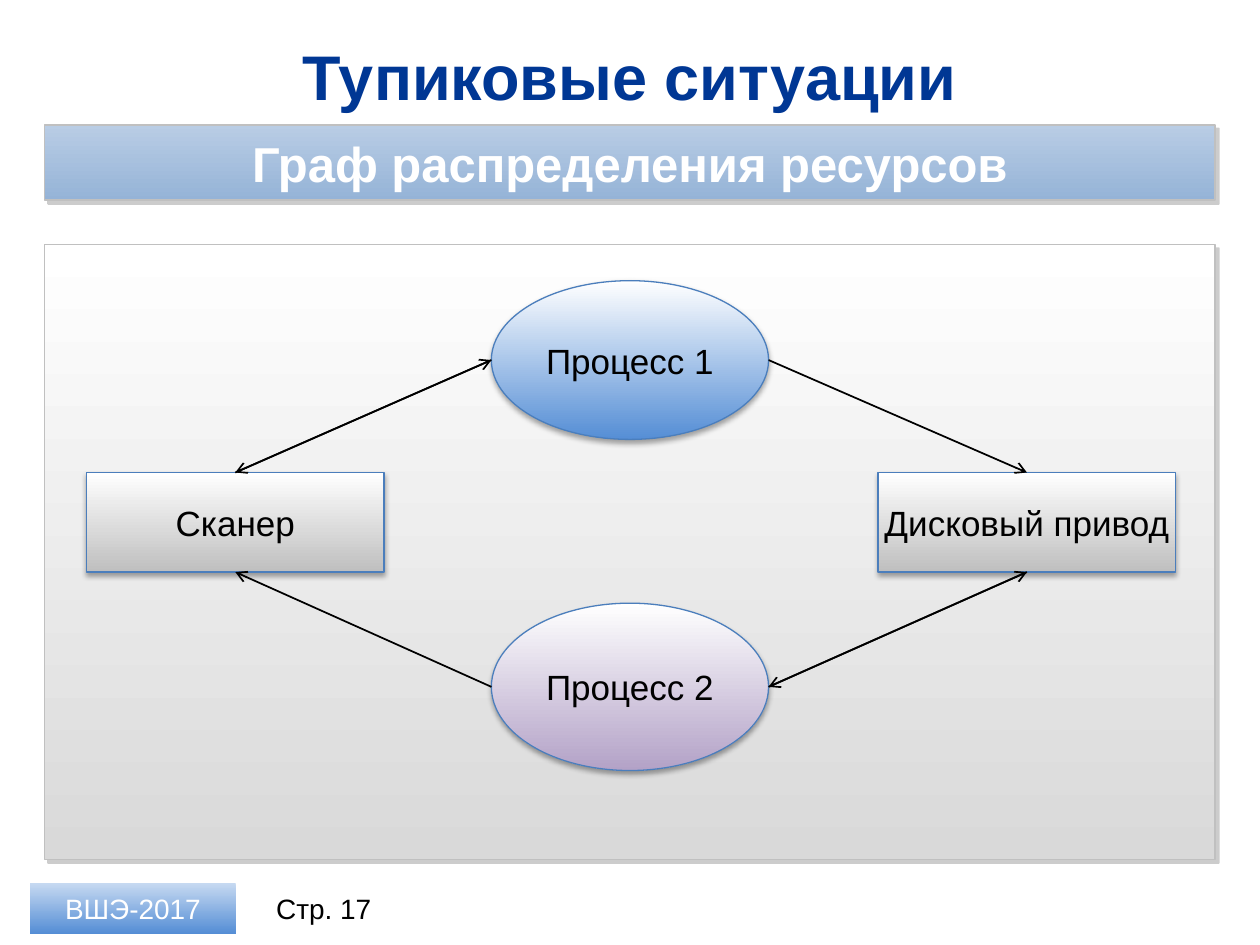
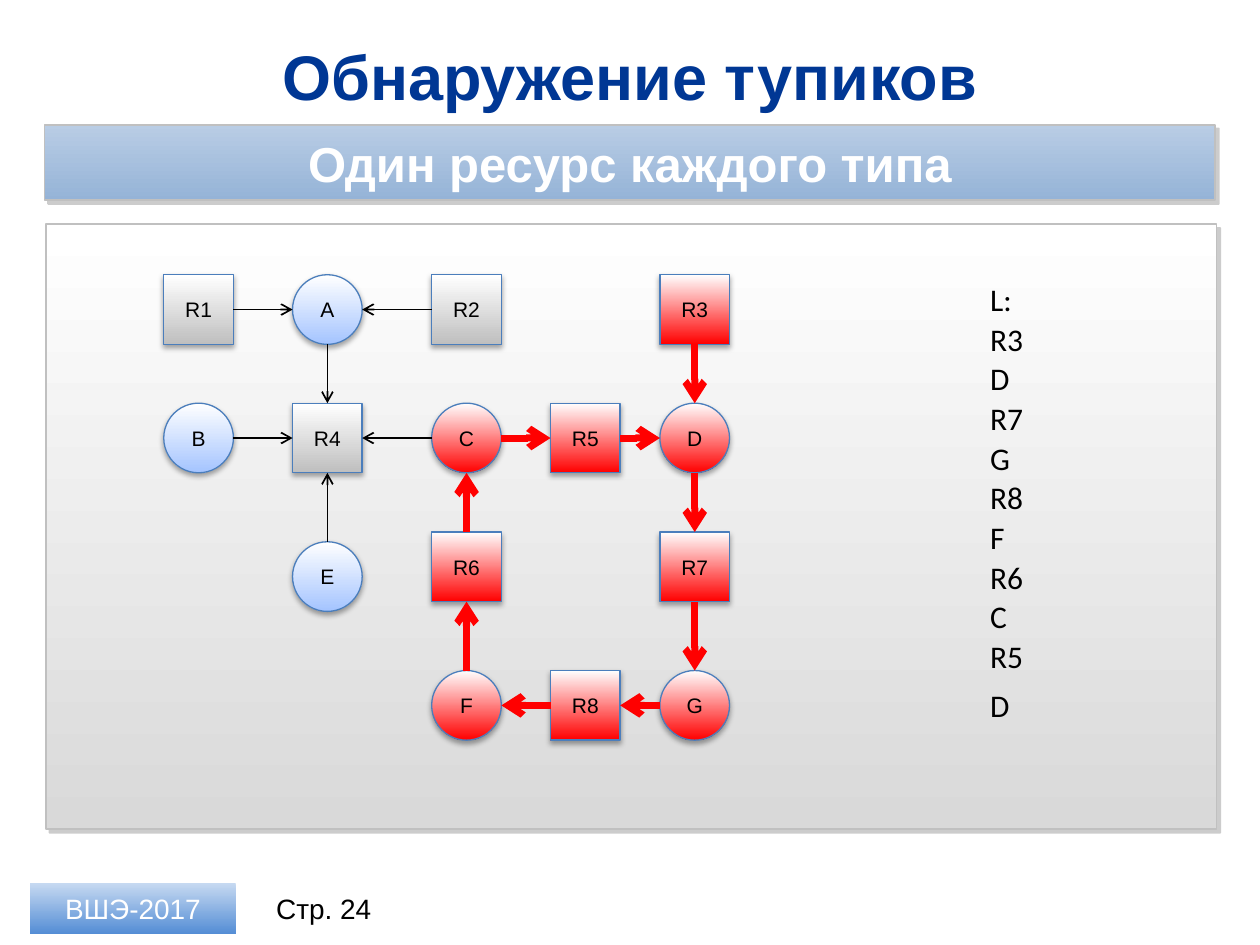
from pptx import Presentation
from pptx.dml.color import RGBColor
from pptx.enum.shapes import MSO_CONNECTOR, MSO_SHAPE
from pptx.enum.text import MSO_ANCHOR, MSO_AUTO_SIZE, PP_ALIGN
from pptx.oxml.ns import qn
from pptx.util import Pt
from lxml.etree import SubElement

INK = {
    "title": "003794", "text": "000000", "light": "FFFFFF",
    "edge": "C0C0C0", "line": "4B7EBC", "red": "FF0000",
    "shade": "808080",
}
FILLS = {
    "badge": ("C6D9F1", "558ED5"), "panel": ("FFFFFF", "D9D9D9"),
    "band": ("B9CDE5", "95B3D7"), "gray": ("FFFFFF", "BFBFBF"),
    "blue": ("FFFFFF", "558ED5"), "plum": ("FFFFFF", "B3A2C7"),
    "pale": ("FFFFFF", "A4C4FF"), "red": ("FFFFFF", "FF0000"),
}
SHADES = {
    "edge": ("shade", 0, 3, 45, 40),
    "line": ("text", 3.1, 1.8, 90, 35),
}
SIDES = {"left": (0, 0.5), "right": (1, 0.5), "up": (0.5, 0), "down": (0.5, 1)}
BACK = {"left": "right", "right": "left", "up": "down", "down": "up"}
RECT, OVAL = MSO_SHAPE.RECTANGLE, MSO_SHAPE.OVAL


def write(slide, text, spot, form=None, fill=None, edge=None, wide=0.75, size=20,
          color="text", bold=False, font="Arial", align=PP_ALIGN.CENTER,
          anchor=MSO_ANCHOR.MIDDLE, pad=0, item=None):
    spot = [Pt(n) for n in spot]
    if item is not None:
        item.left, item.top, item.width, item.height = spot
    elif form is None:
        item = slide.shapes.add_textbox(*spot)
    else:
        item = slide.shapes.add_shape(form, *spot)
        item.shadow.inherit = False
        item.fill.gradient()
        item.fill.gradient_angle = 270
        for stop, tone in zip(item.fill.gradient_stops, FILLS[fill]):
            stop.color.rgb = RGBColor.from_string(tone)
        if edge:
            item.line.color.rgb = RGBColor.from_string(INK[edge])
            item.line.width = Pt(wide)
            tone, blur, dist, angle, alpha = SHADES[edge]
            glow = SubElement(item.element.spPr.find(qn("a:effectLst")), qn("a:outerShdw"),
                              blurRad=str(Pt(blur)), dist=str(Pt(dist)),
                              dir=str(angle * 60000), algn="t", rotWithShape="0")
            hue = SubElement(glow, qn("a:srgbClr"), val=INK[tone])
            SubElement(hue, qn("a:alpha"), val=str(alpha * 1000))
        else:
            item.line.fill.background()
    if text:
        frame = item.text_frame
        frame.word_wrap = True
        frame.auto_size = MSO_AUTO_SIZE.NONE
        frame.vertical_anchor = anchor
        frame.margin_left = frame.margin_right = Pt(pad)
        frame.margin_top = frame.margin_bottom = Pt(pad / 2)
        frame.text = text
        para = frame.paragraphs[0]
        para.alignment = align
        para.font.name, para.font.size, para.font.bold = font, Pt(size), bold
        para.font.color.rgb = RGBColor.from_string(INK[color])
    return item


def link(slide, start, out, end, into, color="text", wide=1):
    ends = []
    for node, side in ((start, out), (end, into)):
        x, y = SIDES[side]
        ends += [int(node.left + node.width * x), int(node.top + node.height * y)]
    line = slide.shapes.add_connector(MSO_CONNECTOR.STRAIGHT, *ends)
    line.line.color.rgb = RGBColor.from_string(INK[color])
    line.line.width = Pt(wide)
    props = line.element.spPr
    SubElement(props.find(qn("a:ln")), qn("a:tailEnd"), type="arrow")
    SubElement(props, qn("a:effectLst"))


deck = Presentation()
deck.slide_width, deck.slide_height = Pt(720), Pt(540)

pages = []
for title, band, page, panel in (
    ("Тупиковые ситуации", "Граф распределения ресурсов", 17, (25.4, 139.7, 669, 351.4)),
    ("Обнаружение тупиков", "Один ресурс каждого типа", 24, (26.2, 128.2, 669, 345.6)),
):
    slide = deck.slides.add_slide(deck.slide_layouts[5])
    write(slide, title, (25.4, 18.7, 669, 49), item=slide.shapes.title,
          size=36, color="title", bold=True)
    write(slide, f"Стр. {page}", (146, 504.7, 78, 28.8), size=16)
    write(slide, "ВШЭ-2017", (17.3, 504.7, 117.4, 28.8), RECT, "badge", size=16, color="light")
    write(slide, "", panel, RECT, "panel", "edge", 1)
    write(slide, band, (25.4, 71.3, 669, 43.2), RECT, "band", "edge", 1,
          size=28, color="light", bold=True, pad=6)
    pages.append(slide)
graph, cycle = pages

scan = write(graph, "Сканер", (49.5, 270, 170, 56.9), RECT, "gray", "line")
drive = write(graph, "Дисковый привод", (501.8, 270, 170, 56.9), RECT, "gray", "line")
first = write(graph, "Процесс 1", (280.8, 160.4, 158.4, 90.7), OVAL, "blue", "line")
second = write(graph, "Процесс 2", (280.8, 344.7, 158.4, 95.6), OVAL, "plum", "line")
for ends in (
    (first, "left", scan, "up"), (scan, "up", first, "left"),
    (second, "right", drive, "down"), (drive, "down", second, "right"),
    (first, "right", drive, "up"), (second, "left", scan, "down"),
):
    link(graph, *ends)

COLS = (93.6, 167.2, 246.7, 314.6, 377.1)
ROWS = (157, 230.4, 304, 383.2)
route = ["R3", "D", "R7", "G", "R8", "F", "R6", "C", "R5", "D"]
grid = (
    ("R1", "A", "R2", None, "R3"),
    ("B", "R4", "C", "R5", "D"),
    (None, "E", "R6", None, "R7"),
    (None, None, "F", "R8", "G"),
)
nodes = {}
for top, names in zip(ROWS, grid):
    for left, name in zip(COLS, names):
        if name:
            form, fill = (RECT, "gray") if name[0] == "R" else (OVAL, "pale")
            drop = 5.6 if name == "E" else 0
            nodes[name] = write(cycle, name, (left, top + drop, 39.8, 39.8), form,
                                "red" if name in route else fill, "line", size=12)

for start, way, end in (
    ("R1", "right", "A"), ("R2", "left", "A"), ("A", "down", "R4"),
    ("B", "right", "R4"), ("C", "left", "R4"), ("E", "up", "R4"),
):
    link(cycle, nodes[start], way, nodes[end], BACK[way])
ways = ["down"] * 3 + ["left"] * 2 + ["up"] * 2 + ["right"] * 2
for start, way, end in zip(route, ways, route[1:]):
    link(cycle, nodes[start], way, nodes[end], BACK[way], "red", 4)

for step, name in enumerate(["L:"] + route):
    gap = 5.6 if step == len(route) else 0
    write(cycle, name, (558.7, 156.6 + 22.64 * step + gap, 85, 28.8), size=18, font="Calibri",
          align=PP_ALIGN.LEFT, anchor=MSO_ANCHOR.TOP, pad=7.2)

deck.save("out.pptx")
